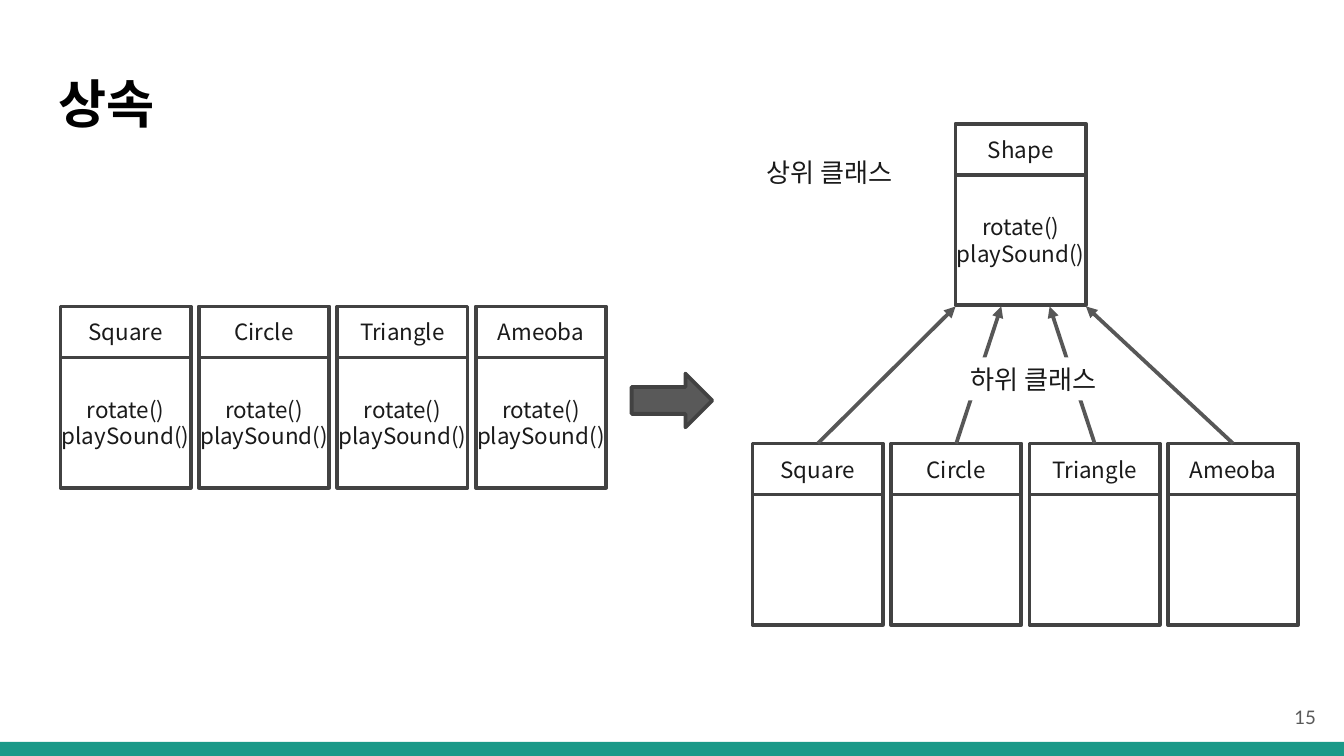
from lxml.etree import SubElement
from pptx import Presentation
from pptx.dml.color import RGBColor
from pptx.enum.shapes import MSO_CONNECTOR, MSO_SHAPE
from pptx.enum.text import MSO_ANCHOR, PP_ALIGN
from pptx.oxml.ns import qn
from pptx.util import Inches, Pt

KOREAN_FONT = "Noto Sans CJK KR"
INK, OUTLINE, ARROW, WHITE = "1A1A1A", "424242", "575757", "FFFFFF"
CLASS_NAMES = ["Square", "Circle", "Triangle", "Ameoba"]
METHODS = ["rotate()", "playSound()"]
BOX_WIDTH, HEADER_HEIGHT, BODY_HEIGHT = 0.97, 0.38, 0.97
COLUMN_STEP = 1.03


def color(hex_value):
    return RGBColor.from_string(hex_value)


def write(shape, lines, size, hex_value=INK, font=KOREAN_FONT, bold=False,
          align=PP_ALIGN.CENTER, anchor=MSO_ANCHOR.MIDDLE, insets=(0, 0)):
    """Fill a shape with one paragraph per line; insets are horizontal, vertical."""
    frame = shape.text_frame
    across, down = map(Inches, insets)
    frame_format = {
        "word_wrap": True, "vertical_anchor": anchor,
        "margin_left": across, "margin_right": across,
        "margin_top": down, "margin_bottom": down,
    }
    for name, value in frame_format.items():
        setattr(frame, name, value)
    for index, line in enumerate(lines):
        paragraph = frame.add_paragraph() if index else frame.paragraphs[0]
        paragraph.alignment = align
        run = paragraph.add_run()
        run.text = line
        font_format = {"size": Pt(size), "bold": bold, "name": font}
        for name, value in font_format.items():
            setattr(run.font, name, value)
        run.font.color.rgb = color(hex_value)
        SubElement(run.font._element, qn("a:ea"), typeface=font)


def add_box(shapes, bounds, fill=None, line=None, preset=MSO_SHAPE.RECTANGLE):
    box = shapes.add_shape(preset, *map(Inches, bounds))
    box.shadow.inherit = False
    if fill:
        box.fill.solid()
        box.fill.fore_color.rgb = color(fill)
    else:
        box.fill.background()
    if line:
        box.line.color.rgb = color(line)
        box.line.width = Pt(2)
    else:
        box.line.fill.background()
    return box


def add_text(shapes, bounds, text, size, **text_format):
    box = shapes.add_textbox(*map(Inches, bounds))
    write(box, [text], size, insets=(0.1, 0.1), **text_format)


def add_label(shapes, left, top, text):
    label = add_box(shapes, (left, top, 1.52, 0.32), fill=WHITE)
    write(label, [text], 14, insets=(0.1, 0.05))


def add_class(shapes, left, top, name, methods=()):
    """Draw a class as a header above a body, and return the header."""
    header = add_box(shapes, (left, top, BOX_WIDTH, HEADER_HEIGHT), line=OUTLINE)
    write(header, [name], 12)
    body = add_box(shapes, (left, top + HEADER_HEIGHT, BOX_WIDTH, BODY_HEIGHT),
                   line=OUTLINE)
    write(body, methods, 12)
    return header


def add_inheritance_arrow(shapes, subclass, end_x, end_y):
    arrow = shapes.add_connector(MSO_CONNECTOR.STRAIGHT, 0, 0,
                                 Inches(end_x), Inches(end_y))
    arrow.begin_connect(subclass, 0)
    arrow.line.color.rgb = color(ARROW)
    arrow.line.width = Pt(2)
    SubElement(arrow.line._get_or_add_ln(), qn("a:tailEnd"), type="triangle")
    SubElement(arrow._element.spPr, qn("a:effectLst"))


def main():
    presentation = Presentation()
    presentation.slide_width = Inches(10)
    presentation.slide_height = presentation.slide_width * 9 // 16
    slide = presentation.slides.add_slide(presentation.slide_layouts[6])
    shapes = slide.shapes

    add_box(shapes, (0, 5.52, 10, 0.11), fill="1A9988")
    add_text(shapes, (0.34, 0.43, 9.32, 0.68), "상속", 28, hex_value="000000",
             bold=True, align=PP_ALIGN.LEFT, anchor=MSO_ANCHOR.TOP)
    add_text(shapes, (9.29, 5.12, 0.6, 0.43), "15", 10, hex_value="595959",
             font="Lato", align=PP_ALIGN.RIGHT)

    for column, name in enumerate(CLASS_NAMES):
        separate_class = shapes.add_group_shape().shapes
        add_class(separate_class, 0.45 + column * COLUMN_STEP, 2.28, name, METHODS)

    add_box(shapes, (4.7, 2.78, 0.6, 0.4), fill="595959", line=OUTLINE,
            preset=MSO_SHAPE.RIGHT_ARROW)

    subclass_group = shapes.add_group_shape().shapes
    subclasses = [add_class(subclass_group, 5.6 + column * COLUMN_STEP, 3.3, name)
                  for column, name in enumerate(CLASS_NAMES)]
    add_class(shapes.add_group_shape().shapes, 7.11, 0.92, "Shape", METHODS)

    for subclass, end_x in zip(subclasses, [7.11, 7.45, 7.81, 8.08]):
        add_inheritance_arrow(shapes, subclass, end_x, 2.28)

    add_label(shapes, 6.93, 2.66, "하위 클래스")
    add_label(shapes, 5.41, 1.12, "상위 클래스")

    presentation.save("out.pptx")


if __name__ == "__main__":
    main()
